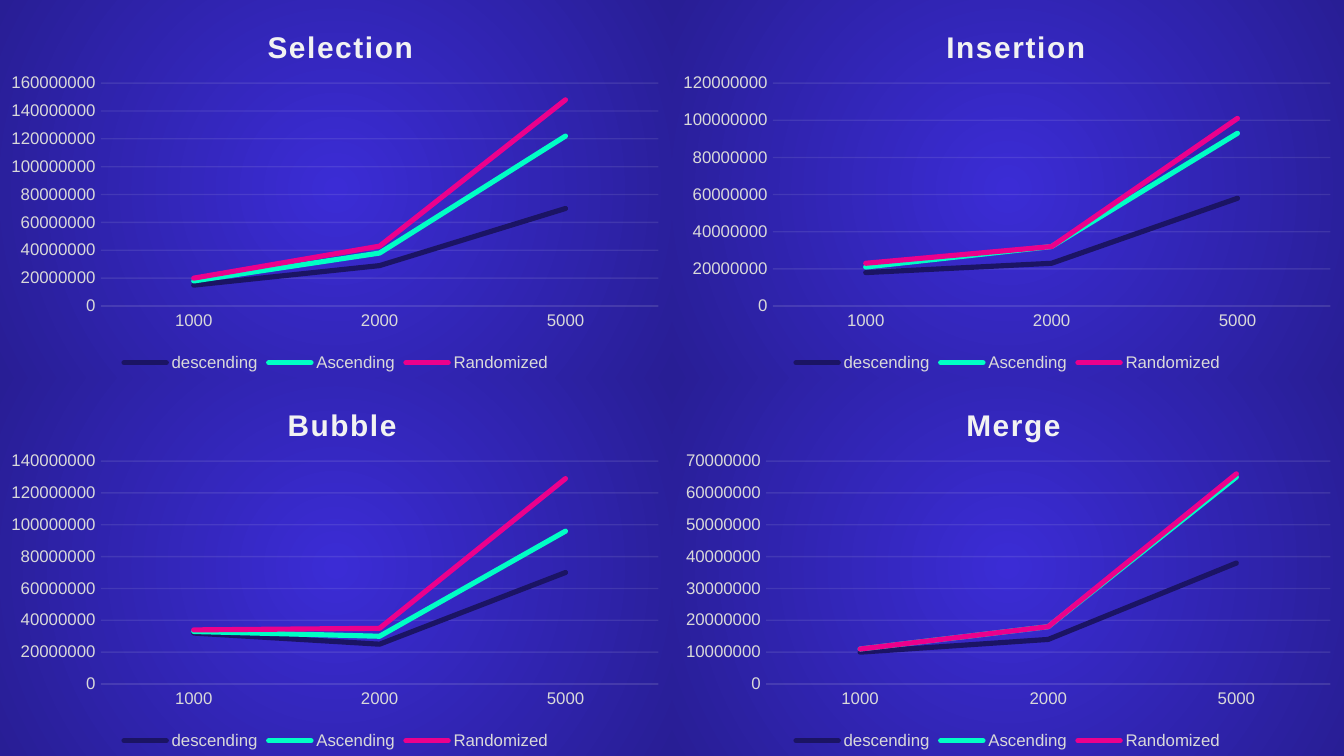
from dataclasses import dataclass

from lxml.etree import SubElement
from pptx import Presentation
from pptx.chart.chart import Chart
from pptx.chart.data import CategoryChartData as Data
from pptx.dml.color import RGBColor as Rgb
from pptx.dml.line import LineFormat as Line
from pptx.enum.chart import XL_CHART_TYPE as Kind
from pptx.enum.chart import XL_LEGEND_POSITION as Spot
from pptx.enum.chart import XL_MARKER_STYLE as Mark
from pptx.enum.chart import XL_TICK_MARK as Tick
from pptx.oxml import parse_xml
from pptx.oxml.ns import nsdecls, qn
from pptx.slide import Slide
from pptx.text.text import Font
from pptx.util import Cm, Pt

HUES = {
    "navy": "1B1464",
    "mint": "00FFC5",
    "pink": "EC008C",
    "label": "D9D9D9",
    "pale": "F2F2F2",
    "core": "3B2CD5",
    "edge": "281E95",
}
FACE = "Arial"
WIDE, HIGH = 12.7, 7.14
SIZES = ["1000", "2000", "5000"]
ORDERS = {"descending": "navy", "Ascending": "mint", "Randomized": "pink"}
MILLION = 1_000_000


@dataclass
class Panel:
    title: str
    start: float
    left: float
    rows: list[list[int]]


PANELS = [
    Panel("Selection", 0.39, 0.15, [[15, 29, 70], [3, 9, 52], [2, 5, 26]]),
    Panel("Insertion", 0.4, 0.15, [[18, 23, 58], [3, 9, 35], [2, 0, 8]]),
    Panel("Bubble", 0.42, 0.15, [[32, 25, 70], [1, 5, 26], [1, 5, 33]]),
    Panel("Merge", 0.43, 0.14, [[10, 14, 38], [1, 4, 27], [0, 0, 1]]),
]


def hue(name: str) -> Rgb:
    return Rgb.from_string(HUES[name])


def style(font: Font, size: float, name: str) -> None:
    font.name = FACE
    font.size = Pt(size)
    font.color.rgb = hue(name)


def fade(line: Line) -> None:
    line.width = Pt(0.75)
    line.color.rgb = hue("pale")
    for node in line.fill._xPr.iter(qn("a:srgbClr")):
        SubElement(node, qn("a:alpha"), val="10000")


def layout(**parts: float) -> object:
    modes = {"x": "xMode", "y": "yMode"}
    tags = "".join(f'<c:{modes[k]} val="edge"/>' for k in parts if k in modes)
    tags += "".join(f'<c:{k} val="{v}"/>' for k, v in parts.items())
    inner = '<c:layoutTarget val="inner"/>' if "w" in parts else ""
    return parse_xml(
        f'<c:layout {nsdecls("c")}><c:manualLayout>{inner}{tags}'
        "</c:manualLayout></c:layout>"
    )


def place(node: object, **parts: float) -> None:
    for old in node.findall(qn("c:layout")):
        node.remove(old)
    text = node.find(qn("c:tx"))
    node.insert(0 if text is None else 1, layout(**parts))


def glow(chart: Chart) -> None:
    stops = "".join(
        f'<a:gs pos="{pos}"><a:srgbClr val="{HUES[name]}"/></a:gs>'
        for pos, name in ((0, "core"), (100000, "edge"))
    )
    fill = parse_xml(
        f'<c:spPr {nsdecls("c", "a")}><a:gradFill><a:gsLst>{stops}</a:gsLst>'
        '<a:path path="circle"><a:fillToRect l="50000" t="50000" r="50000" '
        'b="50000"/></a:path></a:gradFill><a:ln><a:noFill/></a:ln></c:spPr>'
    )
    chart._chartSpace.find(qn("c:chart")).addnext(fill)


def head(chart: Chart, panel: Panel) -> None:
    run = chart.chart_title.text_frame.paragraphs[0].add_run()
    run.text = panel.title
    style(run.font, 16, "pale")
    run.font.bold = True
    run._r.get_or_add_rPr().set("spc", "100")
    chart.chart_title.include_in_layout = False
    place(chart.chart_title._element, x=panel.start, y=0.06)


def axes(chart: Chart) -> None:
    for axis in (chart.category_axis, chart.value_axis):
        axis.major_tick_mark = axis.minor_tick_mark = Tick.NONE
        style(axis.tick_labels.font, 9, "label")
    fade(chart.category_axis.format.line)
    fade(chart.value_axis.major_gridlines.format.line)
    chart.value_axis.format.line.fill.background()


def draw(slide: Slide, panel: Panel, col: int, row: int) -> None:
    data = Data(number_format="General")
    data.categories = SIZES
    for name, vals in zip(ORDERS, panel.rows):
        data.add_series(name, [val * MILLION for val in vals])
    frame = slide.shapes.add_chart(
        Kind.LINE_STACKED, Cm(col * WIDE), Cm(row * HIGH), Cm(WIDE), Cm(HIGH), data
    )
    chart = frame.chart
    style(chart.font, 10, "navy")
    glow(chart)
    head(chart, panel)
    axes(chart)
    chart.has_legend = True
    chart.legend.position = Spot.BOTTOM
    chart.legend.include_in_layout = False
    style(chart.legend.font, 9, "label")
    plot = chart.plots[0]
    plot.vary_by_categories = False
    for series, name in zip(plot.series, ORDERS.values()):
        series.smooth = False
        series.marker.style = Mark.NONE
        line = series.format.line
        line.width = Pt(2.75)
        line.color.rgb = hue(name)
        pen = series._element.find(qn("c:spPr")).find(qn("a:ln"))
        pen.set("cap", "rnd")
        SubElement(pen, qn("a:round"))
    area = chart._chartSpace.find(qn("c:chart")).find(qn("c:plotArea"))
    place(area, x=panel.left, y=0.22, w=0.98 - panel.left, h=0.59)


def main() -> None:
    deck = Presentation()
    deck.slide_width, deck.slide_height = Cm(2 * WIDE), Cm(2 * HIGH)
    slide = deck.slides.add_slide(deck.slide_layouts[6])
    back = slide.background.fill
    back.solid()
    back.fore_color.rgb = hue("navy")
    for spot, panel in enumerate(PANELS):
        row, col = divmod(spot, 2)
        draw(slide, panel, col, row)
    deck.save("out.pptx")


if __name__ == "__main__":
    main()
